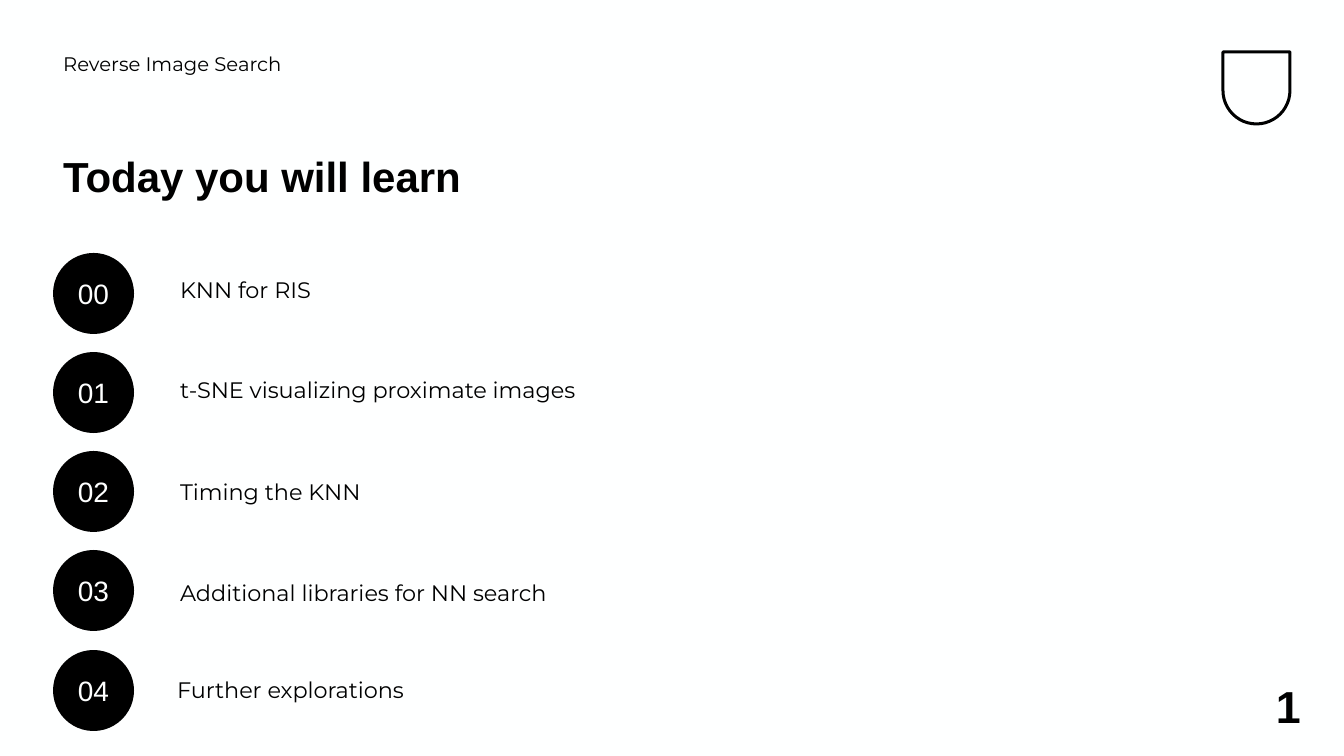
from copy import deepcopy
from dataclasses import dataclass

from pptx import Presentation
from pptx import util as u
from pptx.dml.color import RGBColor
from pptx.enum import shapes, text
from pptx.oxml.ns import qn

EMU_PER_PX = 914400 / 100.8


def px(n: int) -> u.Emu:
    return u.Emu(round(n * EMU_PER_PX))


@dataclass(frozen=True)
class Theme:
    paper: RGBColor = RGBColor(0xFE, 0xFF, 0xFF)
    ink: RGBColor = RGBColor(0, 0, 0)
    head_font: str = "Arial"
    body_font: str = "Montserrat"
    page_pt: int = 32
    title_pt: int = 30
    number_pt: int = 20
    item_pt: int = 16
    topic_pt: int = 14


@dataclass(frozen=True)
class Box:
    left: int
    top: int
    width: int
    height: int

    def emu(self) -> tuple:
        return px(self.left), px(self.top), px(self.width), px(self.height)


@dataclass(frozen=True)
class Item:
    label: str
    box: Box


THEME = Theme()
ITEMS = [
    Item("KNN for RIS", Box(170, 240, 500, 100)),
    Item("t-SNE visualizing proximate images", Box(170, 340, 493, 100)),
    Item("Timing the KNN", Box(170, 442, 539, 100)),
    Item("Additional libraries for NN search", Box(170, 543, 500, 100)),
    Item("Further explorations", Box(167, 640, 500, 100)),
]
FIRST_CIRCLE, LAST_CIRCLE, CIRCLE_SIZE = 253, 650, 81
LEFT, MIDDLE, TOP = text.PP_ALIGN.LEFT, text.MSO_ANCHOR.MIDDLE, text.MSO_ANCHOR.TOP


def write(sp, words: str, font: str, size: int, color: RGBColor = THEME.ink,
          bold: bool = False, align=LEFT, anchor=TOP, spacing: float = 1.0) -> None:
    tf = sp.text_frame
    tf.auto_size = text.MSO_AUTO_SIZE.NONE
    tf.word_wrap = True
    tf.vertical_anchor = anchor
    p = tf.paragraphs[0]
    p.alignment, p.line_spacing = align, spacing
    p.space_before = u.Pt(0)
    r = p.add_run()
    r.text = words
    r.font.name, r.font.size, r.font.bold = font, u.Pt(size), bold
    r.font.color.rgb = color


def place(sp, box: Box) -> None:
    sp.left, sp.top, sp.width, sp.height = box.emu()


def drop_bullet(sp) -> None:
    ppr = sp.text_frame.paragraphs[0]._p.get_or_add_pPr()
    ppr.set("marL", "0")
    ppr.set("indent", "0")
    ppr.append(ppr.makeelement(qn("a:buNone"), {}))


def add_body_placeholders(layout, count: int) -> None:
    """Give the layout further body placeholders, each with its own index."""
    body = next(s for s in layout.placeholders if s.placeholder_format.idx == 1)
    for n in range(count):
        extra = deepcopy(body.element)
        extra.xpath(".//p:ph")[0].set("idx", str(20 + n))
        props = extra.xpath(".//p:cNvPr")[0]
        props.set("id", str(20 + n))
        props.set("name", f"List Item {n}")
        body.element.addnext(extra)


def add_circle(s, n: int) -> None:
    top = FIRST_CIRCLE + (LAST_CIRCLE - FIRST_CIRCLE) * n // (len(ITEMS) - 1)
    box = Box(53, top, CIRCLE_SIZE, CIRCLE_SIZE)
    sp = s.shapes.add_shape(shapes.MSO_SHAPE.OVAL, *box.emu())
    sp.shadow.inherit = False
    sp.fill.solid()
    sp.fill.fore_color.rgb = THEME.ink
    sp.line.fill.background()
    write(sp, f"{n:02d}", THEME.head_font, THEME.number_pt, THEME.paper,
          align=text.PP_ALIGN.CENTER, anchor=MIDDLE)


def add_shield(s) -> None:
    sp = s.shapes.add_shape(shapes.MSO_SHAPE.ROUND_2_SAME_RECTANGLE,
                            *Box(1223, 52, 67, 72).emu())
    sp.adjustments[0], sp.adjustments[1] = 0, 0.5
    sp.shadow.inherit = False
    sp.fill.background()
    sp.line.color.rgb = THEME.ink
    sp.line.width = px(3)


def main() -> None:
    prs = Presentation()
    prs.slide_width, prs.slide_height = px(1344), px(756)
    layout = prs.slide_layouts[1]
    add_body_placeholders(layout, len(ITEMS))
    s = prs.slides.add_slide(layout)
    s.background.fill.solid()
    s.background.fill.fore_color.rgb = THEME.paper
    bodies = {ph.placeholder_format.idx: ph for ph in s.placeholders}

    # Heading, topic line and emblem
    title = s.shapes.title
    place(title, Box(53, 151, 569, 150))
    write(title, "Today you will learn", THEME.head_font, THEME.title_pt,
          bold=True, spacing=0.9)
    topic = bodies[1]
    place(topic, Box(53, 50, 619, 50))
    write(topic, "Reverse Image Search", THEME.body_font, THEME.topic_pt, spacing=0.9)
    drop_bullet(topic)
    add_shield(s)

    # Numbered list
    for n, item in enumerate(ITEMS):
        add_circle(s, n)
        body = bodies[20 + n]
        place(body, item.box)
        write(body, item.label, THEME.body_font, THEME.item_pt, anchor=MIDDLE)
        drop_bullet(body)

    # Page number
    page = s.shapes.add_textbox(*Box(1266, 674, 45, 65).emu())
    write(page, "1", THEME.head_font, THEME.page_pt, bold=True)
    page.text_frame.word_wrap = False

    prs.save("out.pptx")


if __name__ == "__main__":
    main()
